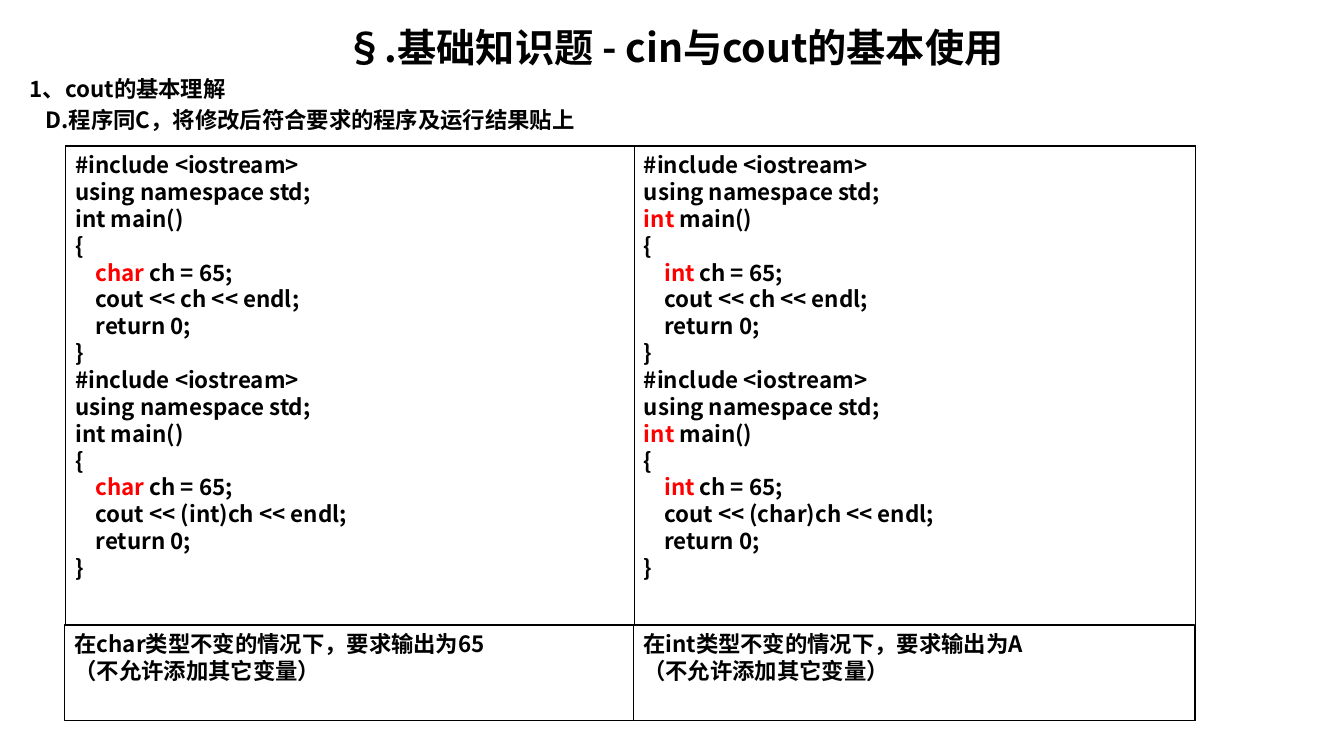
from lxml.etree import SubElement
from pptx import Presentation
from pptx.dml.color import RGBColor
from pptx.enum.shapes import MSO_SHAPE
from pptx.enum.text import MSO_ANCHOR, MSO_AUTO_SIZE, PP_ALIGN
from pptx.oxml.ns import qn
from pptx.util import Cm, Pt

BLACK = RGBColor(0x00, 0x00, 0x00)
RED = RGBColor(0xFF, 0x00, 0x00)
WHITE = RGBColor(0xFF, 0xFF, 0xFF)
FONT = "Noto Sans CJK SC"

PROGRAM = """#include <iostream>
using namespace std;
int main()
{{
    {type} ch = 65;
    cout << {value} << endl;
    return 0;
}}"""


def add_run(p, text, size, color=BLACK):
    r = p.add_run()
    r.text = text
    r.font.size = Pt(size)
    r.font.bold = True
    r.font.name = FONT
    r.font.color.rgb = color
    SubElement(r._r.get_or_add_rPr(), qn("a:ea"), typeface=FONT)


def write(sp, lines, size=16, align=PP_ALIGN.LEFT, gap=0, keyword=None, indents=None):
    """Fill a shape with lines; a keyword that opens a line is shown in red."""
    tf = sp.text_frame
    tf.word_wrap = True
    tf.auto_size = MSO_AUTO_SIZE.NONE
    tf.vertical_anchor = MSO_ANCHOR.TOP
    tf.margin_left = tf.margin_right = Cm(0.25)
    tf.margin_top = tf.margin_bottom = Cm(0.13)
    for i, line in enumerate(lines):
        p = tf.add_paragraph() if i else tf.paragraphs[0]
        p.alignment = align
        p.line_spacing = Pt(size * 1.2)
        p.space_before = Pt(gap if i else 0)
        p.space_after = Pt(0)
        if indents:
            pPr = p._p.get_or_add_pPr()
            pPr.set("marL", str(indents[i]))
            pPr.set("indent", "0")
            SubElement(pPr, qn("a:buNone"))
        code = line.lstrip()
        if keyword and code.startswith(keyword + " "):
            add_run(p, line[:len(line) - len(code)], size)
            add_run(p, keyword + " ", size, RED)
            add_run(p, code[len(keyword) + 1:], size)
        else:
            add_run(p, line, size)


def place(sp, left, top, width, height):
    sp.left, sp.top, sp.width, sp.height = left, top, width, height


def add_box(slide, left, top, width, height, fill=None):
    sp = slide.shapes.add_shape(MSO_SHAPE.RECTANGLE, left, top, width, height)
    sp.shadow.inherit = False
    if fill is None:
        sp.fill.background()
    else:
        sp.fill.solid()
        sp.fill.fore_color.rgb = fill
    sp.line.color.rgb = BLACK
    sp.line.width = Pt(0.75)
    return sp


def add_heading(slide, left, top, width):
    title, body = slide.placeholders
    place(title, left, top, width, Cm(1.4))
    write(title, ["§.基础知识题 - cin与cout的基本使用"], size=28, align=PP_ALIGN.CENTER)
    place(body, left, top + Cm(1.3), width, Cm(1.8))
    write(body, ["1、cout的基本理解", "D.程序同C，将修改后符合要求的程序及运行结果贴上"],
          gap=3.2, indents=[0, Cm(0.4)])


def add_code(slide, left, top, width, height, kind, cast):
    """One column: the given program, then the corrected one."""
    sp = add_box(slide, left, top, width, height)
    lines = [line for value in ("ch", f"({cast})ch")
             for line in PROGRAM.format(type=kind, value=value).split("\n")]
    write(sp, lines, keyword=kind)


def add_task(slide, left, bottom, width, kind, output):
    height = Cm(2.41)
    sp = add_box(slide, left, bottom - height, width, height, fill=WHITE)
    write(sp, [f"在{kind}类型不变的情况下，要求输出为{output}", "（不允许添加其它变量）"])


def add_comparison(slide, left, top, width, height):
    add_box(slide, left, top, width, height)
    split = Cm(14.33)
    columns = [(left, split, "char", "int", "65"),
               (left + split, width - split, "int", "char", "A")]
    for x, w, kind, cast, _ in columns:
        add_code(slide, x, top, w, height, kind, cast)
    for x, w, kind, _, output in columns:
        add_task(slide, x - Cm(0.02), top + height, w, kind, output)


def main():
    prs = Presentation()
    prs.slide_width, prs.slide_height = Cm(33.87), Cm(19.05)
    slide = prs.slides.add_slide(prs.slide_layouts[1])
    add_heading(slide, Cm(0.5), Cm(0.46), Cm(33))
    add_comparison(slide, Cm(1.65), Cm(3.68), Cm(28.47), Cm(14.48))
    prs.save("out.pptx")


if __name__ == "__main__":
    main()
